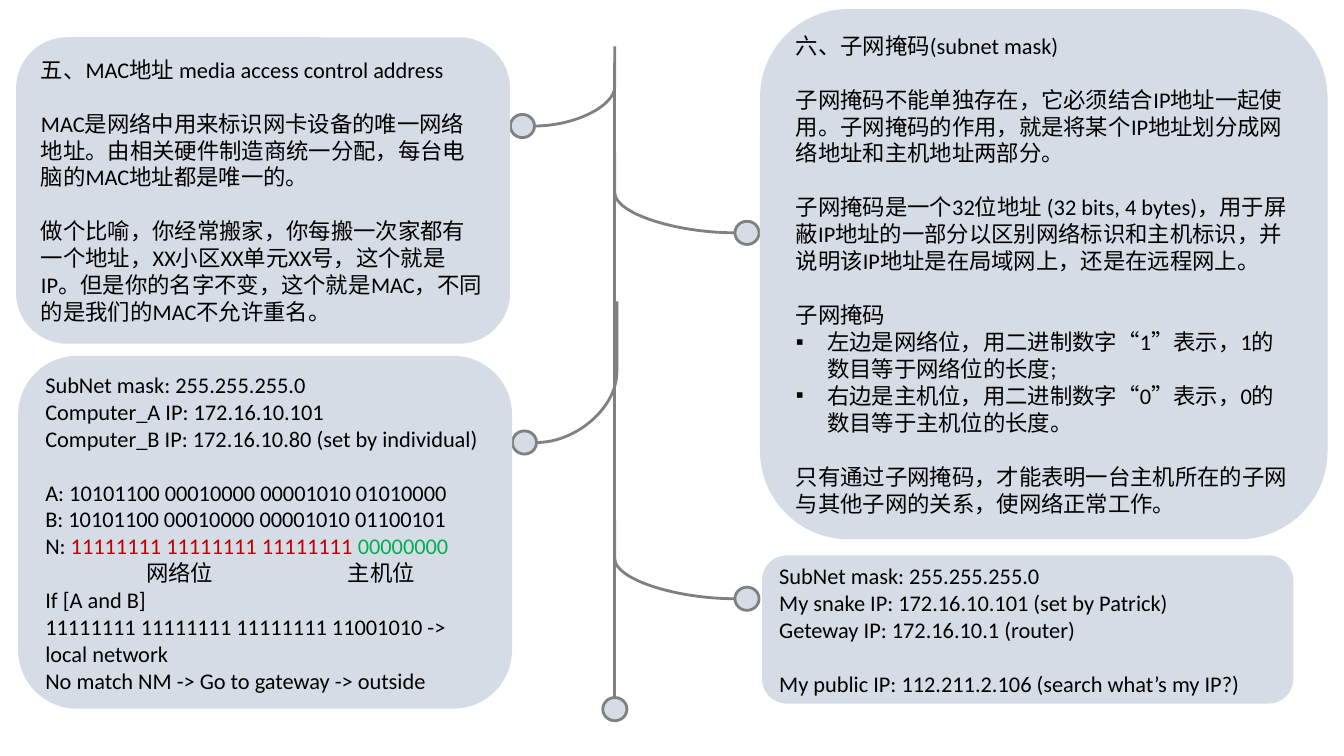
from dataclasses import dataclass

import pptx
import pptx.dml.color
import pptx.enum.shapes
import pptx.enum.text
import pptx.oxml
import pptx.oxml.ns
import pptx.util

SHAPE = pptx.enum.shapes.MSO_SHAPE
CONNECTOR = pptx.enum.shapes.MSO_CONNECTOR
SLIDE_WIDTH = pptx.util.Inches(13.33)
SLIDE_HEIGHT = pptx.util.Inches(7.5)


@dataclass(frozen=True)
class Theme:
    font: str = "Calibri"
    text_size: float = 16
    gap: float = 19.4  # one empty line of body text
    line_width: float = 2
    panel: str = "D6DCE5"
    line: str = "808080"
    ink: str = "000000"
    network: str = "C00000"
    host: str = "00B050"


THEME = Theme()


@dataclass(frozen=True)
class Line:
    text: str = ""
    gap: bool = False
    bullet: bool = False
    tabs: tuple[float, ...] = ()
    spans: tuple[tuple[str, str], ...] = ()  # (text, colour)


# Positions and sizes below are percentages of the slide's width and height.
@dataclass(frozen=True)
class Card:
    left: float
    top: float
    width: float
    height: float
    lines: tuple[Line, ...]


@dataclass(frozen=True)
class Branch:
    start_x: float
    start_y: float
    end_y: float
    reach: float  # from the spine to the centre of the dot


SPINE_X, SPINE_TOP, SPINE_BOTTOM = 45.75, 8.27, 92.27
DOT_WIDTH, DOT_HEIGHT = 1.8, 3.07
REACH_RIGHT, REACH_LEFT = 9.83, -6.88

BRANCHES = (
    Branch(SPINE_X, 68.67, 79.2, REACH_RIGHT),
    Branch(SPINE_X, 20.27, 30.8, REACH_RIGHT),
    Branch(SPINE_X, 6.13, 16.67, REACH_LEFT),
    Branch(45.9, 39.87, 58.53, REACH_LEFT),
)

CARDS = (
    Card(1.2, 4.93, 36.75, 40.53, (
        Line("五、MAC地址 media access control address"),
        Line("MAC是网络中用来标识网卡设备的唯一网络地址。由相关硬件制造商统一分配，"
             "每台电脑的MAC地址都是唯一的。", gap=True),
        Line("做个比喻，你经常搬家，你每搬一次家都有一个地址，XX小区XX单元XX号，这个就是IP。"
             "但是你的名字不变，这个就是MAC，不同的是我们的MAC不允许重名。", gap=True),
    )),
    Card(56.55, 1.2, 42.23, 70.13, (
        Line("六、子网掩码(subnet mask)"),
        Line("子网掩码不能单独存在，它必须结合IP地址一起使用。子网掩码的作用，"
             "就是将某个IP地址划分成网络地址和主机地址两部分。", gap=True),
        Line("子网掩码是一个32位地址 (32 bits, 4 bytes)，用于屏蔽IP地址的一部分以区别"
             "网络标识和主机标识，并说明该IP地址是在局域网上，还是在远程网上。", gap=True),
        Line("子网掩码", gap=True),
        Line("左边是网络位，用二进制数字“1”表示，1的数目等于网络位的长度;", bullet=True),
        Line("右边是主机位，用二进制数字“0”表示，0的数目等于主机位的长度。", bullet=True),
        Line("只有通过子网掩码，才能表明一台主机所在的子网与其他子网的关系，"
             "使网络正常工作。", gap=True),
    )),
    Card(1.35, 47.07, 36.75, 46.67, (
        Line("SubNet mask: 255.255.255.0"),
        Line("Computer_A IP: 172.16.10.101"),
        Line("Computer_B IP: 172.16.10.80 (set by individual)"),
        Line("A: 10101100 00010000 00001010 01010000", gap=True),
        Line("B: 10101100 00010000 00001010 01100101"),
        Line(spans=(("N: ", THEME.ink),
                    ("11111111 11111111 11111111 ", THEME.network),
                    ("00000000", THEME.host))),
        Line("\t网络位\t主机位", tabs=(1, 3)),
        Line("If [A and B]"),
        Line("11111111 11111111 11111111 11001010 -> local network"),
        Line("No match NM -> Go to gateway -> outside"),
    )),
    Card(56.7, 73.47, 39.53, 19.6, (
        Line("SubNet mask: 255.255.255.0"),
        Line("My snake IP: 172.16.10.101 (set by Patrick)"),
        Line("Geteway IP: 172.16.10.1 (router)"),
        Line("My public IP: 112.211.2.106 (search what’s my IP?)", gap=True),
    )),
)


def across(share: float) -> int:
    return round(SLIDE_WIDTH * share / 100)


def down(share: float) -> int:
    return round(SLIDE_HEIGHT * share / 100)


def colour(value: str) -> pptx.dml.color.RGBColor:
    return pptx.dml.color.RGBColor.from_string(value)


def add_child(parent, tag: str, **attributes):
    child = pptx.oxml.ns.qn(tag)
    element = parent.makeelement(child, {key: str(value) for key, value in attributes.items()})
    parent.append(element)
    return element


def style_line(line) -> None:
    line.color.rgb = colour(THEME.line)
    line.width = pptx.util.Pt(THEME.line_width)


def draw_connector(group, kind, x1: float, y1: float, x2: float, y2: float):
    connector = group.shapes.add_connector(kind, across(x1), down(y1), across(x2), down(y2))
    style_line(connector.line)
    add_child(connector._element.spPr, "a:effectLst")
    return connector


def draw_dot(group, x: float, y: float) -> None:
    dot = group.shapes.add_shape(
        SHAPE.OVAL, across(x - DOT_WIDTH / 2), down(y - DOT_HEIGHT / 2),
        across(DOT_WIDTH), down(DOT_HEIGHT))
    dot.shadow.inherit = False
    dot.fill.solid()
    dot.fill.fore_color.rgb = colour(THEME.panel)
    style_line(dot.line)


def draw_branch(group, branch: Branch) -> None:
    dot_x = branch.start_x + branch.reach
    radius = DOT_WIDTH / 2 if branch.reach > 0 else -DOT_WIDTH / 2
    curve = draw_connector(group, CONNECTOR.CURVE, branch.start_x, branch.start_y,
                           dot_x - radius, branch.end_y)
    # Leave the spine vertically
    guides = curve._element.spPr.find(pptx.oxml.ns.qn("a:prstGeom")).get_or_add_avLst()
    add_child(guides, "a:gd", name="adj1", fmla="val 0")
    draw_dot(group, dot_x, branch.end_y)


def write_line(para, line: Line) -> None:
    para.alignment = pptx.enum.text.PP_ALIGN.LEFT
    para.font.name = THEME.font
    para.font.size = pptx.util.Pt(THEME.text_size)
    para.font.color.rgb = colour(THEME.ink)
    if line.gap:
        para.space_before = pptx.util.Pt(THEME.gap)
    for text, tint in line.spans or ((line.text, THEME.ink),):
        span = para.add_run()
        span.text = text
        if line.spans:
            span.font.name = THEME.font
            span.font.size = pptx.util.Pt(THEME.text_size)
            span.font.color.rgb = colour(tint)
    properties = para._p.get_or_add_pPr()
    first_run_default = properties.find(pptx.oxml.ns.qn("a:defRPr"))
    if line.bullet:
        indent = pptx.util.Inches(0.31)
        properties.set("marL", str(indent))
        properties.set("indent", str(-indent))
        first_run_default.addprevious(add_child(properties, "a:buFont", typeface="Arial"))
        first_run_default.addprevious(add_child(properties, "a:buChar", char="▪"))
    if line.tabs:
        stops = add_child(properties, "a:tabLst")
        for stop in line.tabs:
            add_child(stops, "a:tab", pos=pptx.util.Inches(stop), algn="l")
        first_run_default.addprevious(stops)


def draw_card(page, card: Card) -> None:
    box = page.shapes.add_shape(SHAPE.ROUNDED_RECTANGLE, across(card.left), down(card.top),
                                across(card.width), down(card.height))
    box.shadow.inherit = False
    box.fill.solid()
    box.fill.fore_color.rgb = colour(THEME.panel)
    box.line.fill.background()
    frame = box.text_frame
    frame.word_wrap = True
    frame.vertical_anchor = pptx.enum.text.MSO_ANCHOR.MIDDLE
    for index, line in enumerate(card.lines):
        write_line(frame.add_paragraph() if index else frame.paragraphs[0], line)


def main() -> None:
    deck = pptx.Presentation()
    deck.slide_width, deck.slide_height = SLIDE_WIDTH, SLIDE_HEIGHT
    page = deck.slides.add_slide(deck.slide_layouts.get_by_name("Blank"))

    # Spine with its branches
    tree = page.shapes.add_group_shape()
    draw_connector(tree, CONNECTOR.STRAIGHT, SPINE_X, SPINE_TOP, SPINE_X, SPINE_BOTTOM)
    draw_dot(tree, SPINE_X, SPINE_BOTTOM + DOT_HEIGHT / 2)
    for branch in BRANCHES:
        draw_branch(tree, branch)

    # Text cards
    for card in CARDS:
        draw_card(page, card)
    deck.save("out.pptx")


if __name__ == "__main__":
    main()
